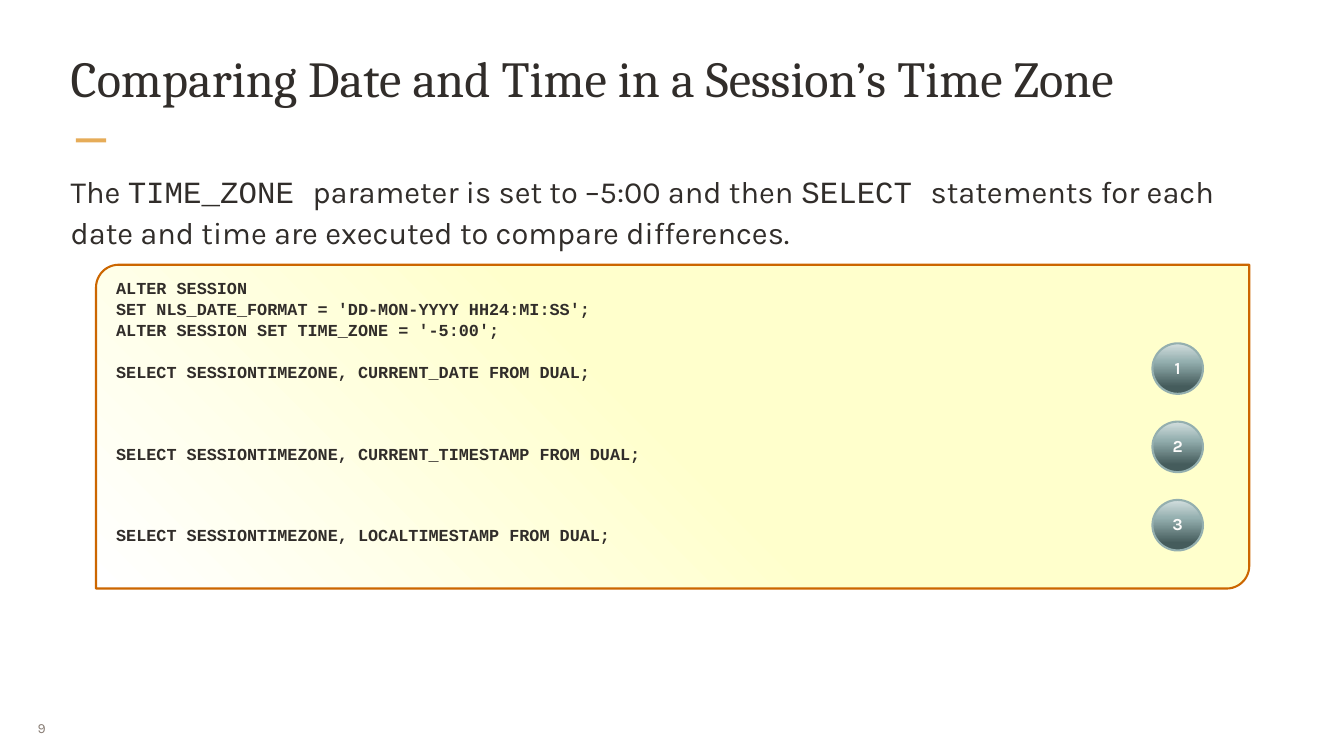
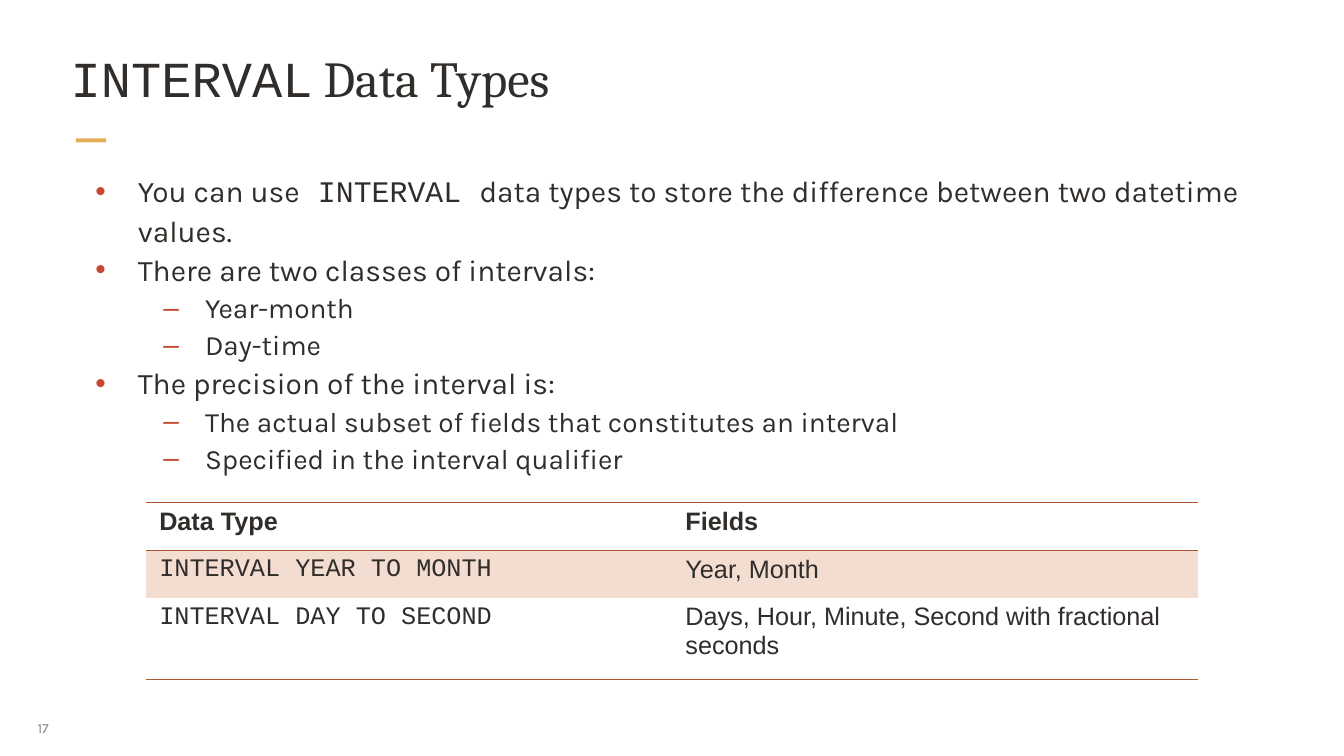
import pptx
import pptx.util
import pptx.dml.color
import pptx.enum.shapes
import pptx.enum.text
import pptx.oxml.ns
from lxml import etree
from pptx.util import Cm, Pt

COLOURS = {
    "ink": "312D2A",
    "accent": "E6AC58",
    "number": "8B8078",
    "bullet": "C74634",
    "panel": "FFFFCC",
    "white": "FFFFFF",
    "panel line": "CC6600",
    "badge light": "D4DFDF",
    "badge": "94AFAF",
    "badge dark": "455C5C",
    "badge text": "FCFBFA",
    "table line": "AE562C",
    "table band": "F3DCD0",
}
HEADING, BODY, CODE, TABLE = "Cambria", "Karla", "Courier New", "Arial"
NO_GRID_STYLE = "{2D5ABB26-0587-4C30-8999-92F81FD0307C}"
SHAPES = pptx.enum.shapes.MSO_SHAPE
ALIGN = pptx.enum.text.PP_ALIGN
ANCHOR = pptx.enum.text.MSO_ANCHOR
qn = pptx.oxml.ns.qn

TITLE_BOX = (2.59, 1.7, 45.62, 3.25)
ACCENT_BOX = (2.87, 5.23, 1.14, 0.15)
NUMBER_BOX = (1.09, 26.77, 1.65, 1.47)
INTRO_BOX = (2.59, 6.32, 45.62, 3.12)
PANEL_BOX = (3.63, 10.01, 43.59, 12.24)
BULLETS_BOX = (2.59, 6.32, 45.62, 11.68)
TABLE_BOX = (5.51, 19, 39.78, 6.7)

# Each group of statements is followed by the empty lines before the next.
STATEMENTS = [
    (0, "ALTER SESSION"),
    (0, "SET NLS_DATE_FORMAT = 'DD-MON-YYYY HH24:MI:SS';"),
    (0, "ALTER SESSION SET TIME_ZONE = '-5:00';"),
    (1, "SELECT SESSIONTIMEZONE, CURRENT_DATE FROM DUAL;"),
    (3, "SELECT SESSIONTIMEZONE, CURRENT_TIMESTAMP FROM DUAL;"),
    (3, "SELECT SESSIONTIMEZONE, LOCALTIMESTAMP FROM DUAL;"),
]
INTRO = [
    ("The ", BODY),
    ("TIME_ZONE ", CODE),
    ("parameter is set to –5:00 and then ", BODY),
    ("SELECT ", CODE),
    ("statements for each date and time are executed to compare differences.", BODY),
]
BULLETS = [
    (1, [("You can use", BODY), (" INTERVAL ", CODE),
         ("data types to store the difference between two datetime values.", BODY)]),
    (1, [("There are two classes of intervals:", BODY)]),
    (2, [("Year-month", BODY)]),
    (2, [("Day-time", BODY)]),
    (1, [("The precision of the interval is:", BODY)]),
    (2, [("The actual subset of fields that constitutes an interval", BODY)]),
    (2, [("Specified in the interval qualifier", BODY)]),
]
BULLET_STYLES = {1: ("•", 2.54, -1.6, 32), 2: ("–", 5.08, -1.57, 30)}
DATA_TYPES = [
    ("Data Type", "Fields"),
    ("INTERVAL YEAR TO MONTH", "Year, Month"),
    ("INTERVAL DAY TO SECOND", "Days, Hour, Minute, Second with fractional seconds"),
]
ROW_HEIGHTS = (1.8, 1.8, 3.1)


def colour(name):
    return pptx.dml.color.RGBColor.from_string(COLOURS[name])


def style_font(font, size, face=None, shade="ink", bold=False):
    font.size = Pt(size)
    font.bold = bold
    font.color.rgb = colour(shade)
    if face:
        font.name = face


def fill_para(para, spans, size, shade="ink", bold=False):
    """Write (text, face) spans; a face shared by all is set on the paragraph."""
    faces = {face for _, face in spans}
    style_font(para.font, size, spans[0][1] if len(faces) == 1 else None, shade, bold)
    for text, face in spans:
        span = para.add_run()
        span.text = text
        if len(faces) > 1:
            span.font.name = face


def set_frame(frame, across, down, anchor=ANCHOR.TOP):
    frame.word_wrap = True
    frame.auto_size = pptx.enum.text.MSO_AUTO_SIZE.NONE
    frame.margin_left = frame.margin_right = Cm(across)
    frame.margin_top = frame.margin_bottom = Cm(down)
    frame.vertical_anchor = anchor


def add_text_frame(page, box, across=0.08, down=0.08, anchor=ANCHOR.TOP):
    frame = page.shapes.add_textbox(*map(Cm, box)).text_frame
    set_frame(frame, across, down, anchor)
    return frame


def next_para(frame, index):
    return frame.add_paragraph() if index else frame.paragraphs[0]


def add_plain_shape(page, kind, box):
    shape = page.shapes.add_shape(kind, *map(Cm, box))
    shape.shadow.inherit = False
    return shape


def set_gradient(shape, stops, clockwise_angle):
    shape.fill.gradient()
    shape.fill.gradient_angle = 360 - clockwise_angle
    stop_list = shape.element.spPr.find(".//" + qn("a:gsLst"))
    stop_list.clear()
    for percent, name in stops:
        stop = etree.SubElement(stop_list, qn("a:gs"), pos=str(percent * 1000))
        etree.SubElement(stop, qn("a:srgbClr"), val=COLOURS[name])


def set_outline(shape, name):
    shape.line.color.rgb = colour(name)
    shape.line.width = Pt(2.25)


def add_page(deck, title_spans, number):
    page = deck.slides.add_slide(deck.slide_layouts[5])
    title = page.shapes.title
    title.left, title.top, title.width, title.height = map(Cm, TITLE_BOX)
    set_frame(title.text_frame, 0.08, 0.08)
    para = title.text_frame.paragraphs[0]
    para.alignment = ALIGN.LEFT
    fill_para(para, title_spans, 54)

    accent = add_plain_shape(page, SHAPES.RECTANGLE, ACCENT_BOX)
    accent.fill.solid()
    accent.fill.fore_color.rgb = colour("accent")
    accent.line.fill.background()

    frame = add_text_frame(page, NUMBER_BOX, 0.33, 0.18, ANCHOR.MIDDLE)
    frame.paragraphs[0].alignment = ALIGN.JUSTIFY
    fill_para(frame.paragraphs[0], [(str(number), BODY)], 15, "number")
    return page


def add_intro(page, box):
    para = add_text_frame(page, box).paragraphs[0]
    para.line_spacing = 1.1
    fill_para(para, INTRO, 33)


def add_badge(page, box, label):
    badge = add_plain_shape(page, SHAPES.OVAL, box)
    set_gradient(badge, [(0, "badge light"), (36, "badge"), (85, "badge dark")], 90)
    set_outline(badge, "badge")
    set_frame(badge.text_frame, 0.25, 0.25, ANCHOR.MIDDLE)
    para = badge.text_frame.paragraphs[0]
    para.alignment = ALIGN.CENTER
    para.line_spacing = 0.95
    fill_para(para, [(label, BODY)], 18, "badge text", True)


def add_code_panel(page, box):
    left, top, width, height = box
    panel = add_plain_shape(page, SHAPES.ROUND_2_DIAG_RECTANGLE, box)
    panel.adjustments[0], panel.adjustments[1] = 0.07, 0
    set_gradient(panel, [(0, "panel"), (50, "panel"), (100, "white")], 135)
    set_outline(panel, "panel line")

    code_box = (left + 0.38, top + 0.23, width - 0.41, height - 1.85)
    frame = add_text_frame(page, code_box, 0.38, 0.2)
    for index, (empty_lines, statement) in enumerate(STATEMENTS):
        para = next_para(frame, index)
        para.line_spacing = 1.06
        if empty_lines:
            para.space_before = Pt(21.6 * empty_lines)
        fill_para(para, [(statement, CODE)], 18, bold=True)

    for index in range(3):
        badge_box = (left + 39.93, top + 2.97 + 2.96 * index, 1.91, 1.91)
        add_badge(page, badge_box, str(index + 1))


def set_bullet(para, mark, margin, indent):
    properties = para._p.get_or_add_pPr()
    properties.set("marL", str(Cm(margin)))
    properties.set("indent", str(Cm(indent)))
    shade = etree.SubElement(properties, qn("a:buClr"))
    etree.SubElement(shade, qn("a:srgbClr"), val=COLOURS["bullet"])
    etree.SubElement(properties, qn("a:buFont"), typeface=TABLE)
    etree.SubElement(properties, qn("a:buChar"), char=mark)


def add_bullets(page, box):
    frame = add_text_frame(page, box)
    for index, (level, spans) in enumerate(BULLETS):
        para = next_para(frame, index)
        mark, margin, indent, size = BULLET_STYLES[level]
        set_bullet(para, mark, margin, indent)
        para.level = level
        para.line_spacing = 1.1
        fill_para(para, spans, size)


def set_borders(cell, sides):
    """Draw the named sides (lnT, lnB), in schema order, ahead of the cell's fill."""
    properties = cell._tc.get_or_add_tcPr()
    for position, side in enumerate(sides):
        line = etree.Element(qn("a:" + side), w=str(Pt(1)))
        paint = etree.SubElement(line, qn("a:solidFill"))
        etree.SubElement(paint, qn("a:srgbClr"), val=COLOURS["table line"])
        properties.insert(position, line)


def add_data_type_table(page, box):
    rows, columns = len(DATA_TYPES), len(DATA_TYPES[0])
    frame = page.shapes.add_table(rows, columns, *map(Cm, box))
    table = frame.table
    table.first_row = table.horz_banding = False
    table._tbl.tblPr.find(qn("a:tableStyleId")).text = NO_GRID_STYLE
    borders = (("lnT", "lnB"), (), ("lnB",))
    for row, texts in enumerate(DATA_TYPES):
        table.rows[row].height = Cm(ROW_HEIGHTS[row])
        for column, text in enumerate(texts):
            cell = table.cell(row, column)
            cell.margin_left = cell.margin_right = Cm(0.51)
            cell.margin_top = cell.margin_bottom = Cm(0.2)
            if row == 1:
                cell.fill.solid()
                cell.fill.fore_color.rgb = colour("table band")
            else:
                cell.fill.background()
            set_borders(cell, borders[row])
            face = CODE if row and column == 0 else TABLE
            fill_para(cell.text_frame.paragraphs[0], [(text, face)], 27, bold=row == 0)


def add_session_page(deck):
    title = [("Comparing Date and Time in a Session’s Time Zone", HEADING)]
    page = add_page(deck, title, 9)
    add_intro(page, INTRO_BOX)
    add_code_panel(page, PANEL_BOX)


def add_interval_page(deck):
    page = add_page(deck, [("INTERVAL", CODE), (" Data Types", HEADING)], 17)
    add_bullets(page, BULLETS_BOX)
    add_data_type_table(page, TABLE_BOX)


def main():
    deck = pptx.Presentation()
    deck.slide_width, deck.slide_height = Cm(50.8), Cm(28.58)
    add_session_page(deck)
    add_interval_page(deck)
    deck.save("out.pptx")


if __name__ == "__main__":
    main()
